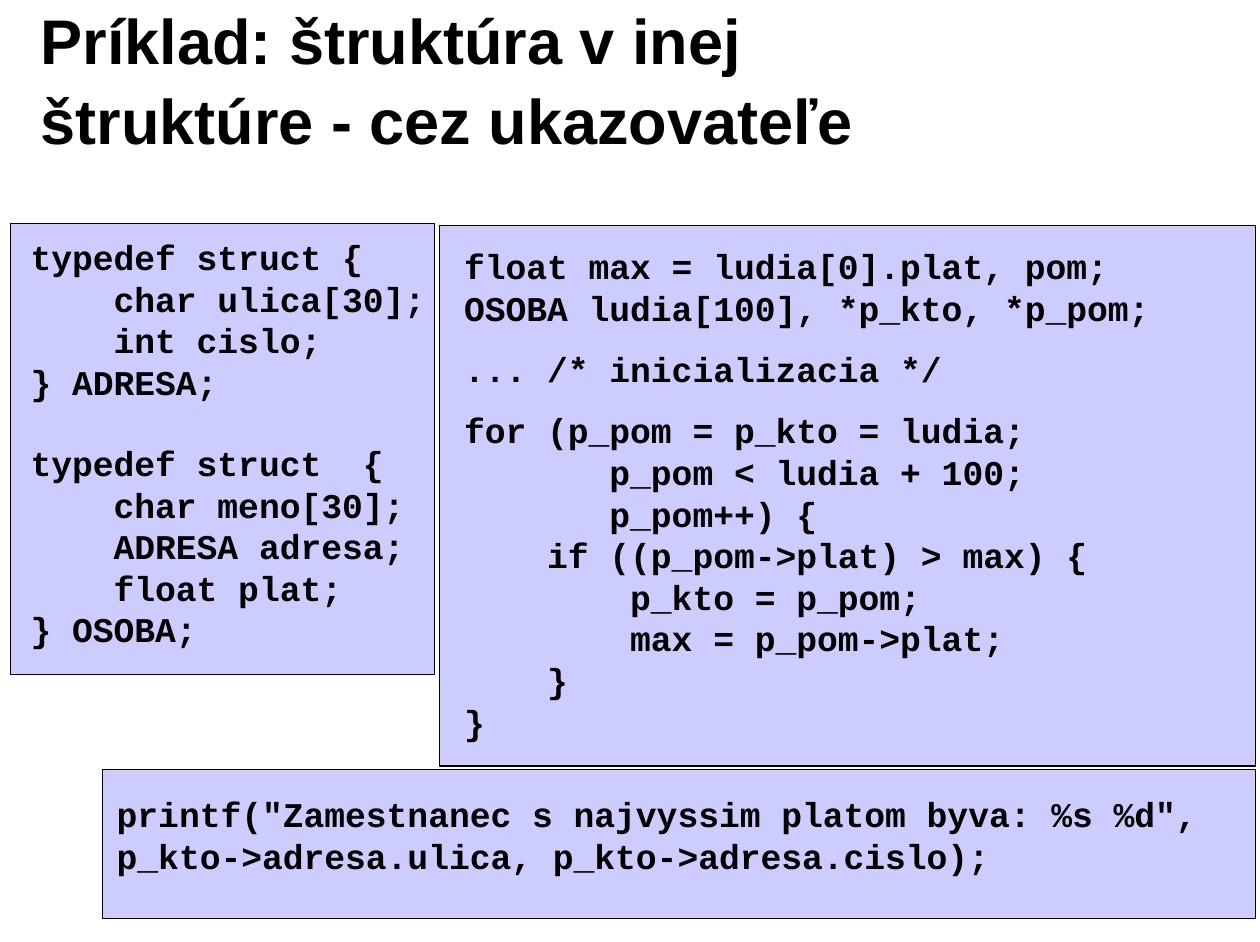
from pptx import Presentation
from pptx import util as u
from pptx.dml.color import RGBColor
from pptx.enum import shapes, text

PX = 9144  # 100 px to the inch
BLACK, LAVENDER = "000000", "CCCCFF"
TITLE_FONT = {"name": "Arial", "size": u.Pt(40), "bold": True}
CODE_FONT = {"name": "Courier New", "size": u.Pt(22), "bold": True}

# Each listing is a list of blocks; a gap separates the blocks
STRUCTS = [
    """typedef struct {
    char ulica[30];
    int cislo;
} ADRESA;""",
    """typedef struct  {
    char meno[30];
    ADRESA adresa;
    float plat;
} OSOBA;""",
]
SEARCH = [
    """float max = ludia[0].plat, pom;
OSOBA ludia[100], *p_kto, *p_pom;""",
    "... /* inicializacia */",
    """for (p_pom = p_kto = ludia;
       p_pom < ludia + 100;
       p_pom++) {
    if ((p_pom->plat) > max) {
        p_kto = p_pom;
        max = p_pom->plat;
    }
}""",
]
OUTPUT = [
    """printf("Zamestnanec s najvyssim platom byva: %s %d",
p_kto->adresa.ulica, p_kto->adresa.cislo);""",
]


def color(value):
    return RGBColor.from_string(value)


def emu(*lengths):
    return [u.Emu(length * PX) for length in lengths]


def style(paragraph, font):
    for name, value in font.items():
        setattr(paragraph.font, name, value)
    paragraph.font.color.rgb = color(BLACK)


def add_text_frame(slide, box, inset, wrap=True):
    frame = slide.shapes.add_textbox(*emu(*box)).text_frame
    side, edge = emu(*inset)
    settings = {"margin_left": side, "margin_right": side,
                "margin_top": edge, "margin_bottom": edge, "word_wrap": wrap}
    for name, value in settings.items():
        setattr(frame, name, value)
    return frame


def add_title(slide, box, title):
    frame = add_text_frame(slide, box, (11, 6))
    frame.vertical_anchor = text.MSO_ANCHOR.MIDDLE
    paragraph = frame.paragraphs[0]
    paragraph.text = title
    paragraph.line_spacing = 1.05
    style(paragraph, TITLE_FONT)


def add_code_panel(slide, box, offset, size, blocks, gap=0, inset=(10, 5), wrap=True):
    # Panel
    panel = slide.shapes.add_shape(shapes.MSO_SHAPE.RECTANGLE, *emu(*box))
    panel.shadow.inherit = False
    panel.fill.solid()
    panel.fill.fore_color.rgb = color(LAVENDER)
    panel.line.color.rgb = color(BLACK)
    panel.line.width = u.Pt(0.75)

    # Code, placed relative to the panel
    left, top = box[0] + offset[0], box[1] + offset[1]
    frame = add_text_frame(slide, (left, top, *size), inset, wrap)
    for block_index, block in enumerate(blocks):
        for line_index, line in enumerate(block.splitlines()):
            first = block_index == line_index == 0
            paragraph = frame.paragraphs[0] if first else frame.add_paragraph()
            paragraph.text = line
            if block_index and not line_index:
                paragraph.space_before = u.Pt(gap)
            style(paragraph, CODE_FONT)


def main():
    presentation = Presentation()
    presentation.slide_width, presentation.slide_height = emu(1110, 830)
    slide = presentation.slides.add_slide(presentation.slide_layouts[6])

    add_title(slide, (25, 17, 892, 102),
              "Príklad: štruktúra v inej štruktúre - cez ukazovateľe")
    add_code_panel(slide, (9, 197, 374, 397), (7, 5), (374, 378), STRUCTS,
                   gap=25, inset=(11, 6))
    add_code_panel(slide, (387, 199, 719, 476), (12, 12), (624, 450), SEARCH,
                   gap=12.5, wrap=False)
    add_code_panel(slide, (90, 678, 1016, 131), (3, 16), (991, 120), OUTPUT)

    presentation.save("out.pptx")


if __name__ == "__main__":
    main()
